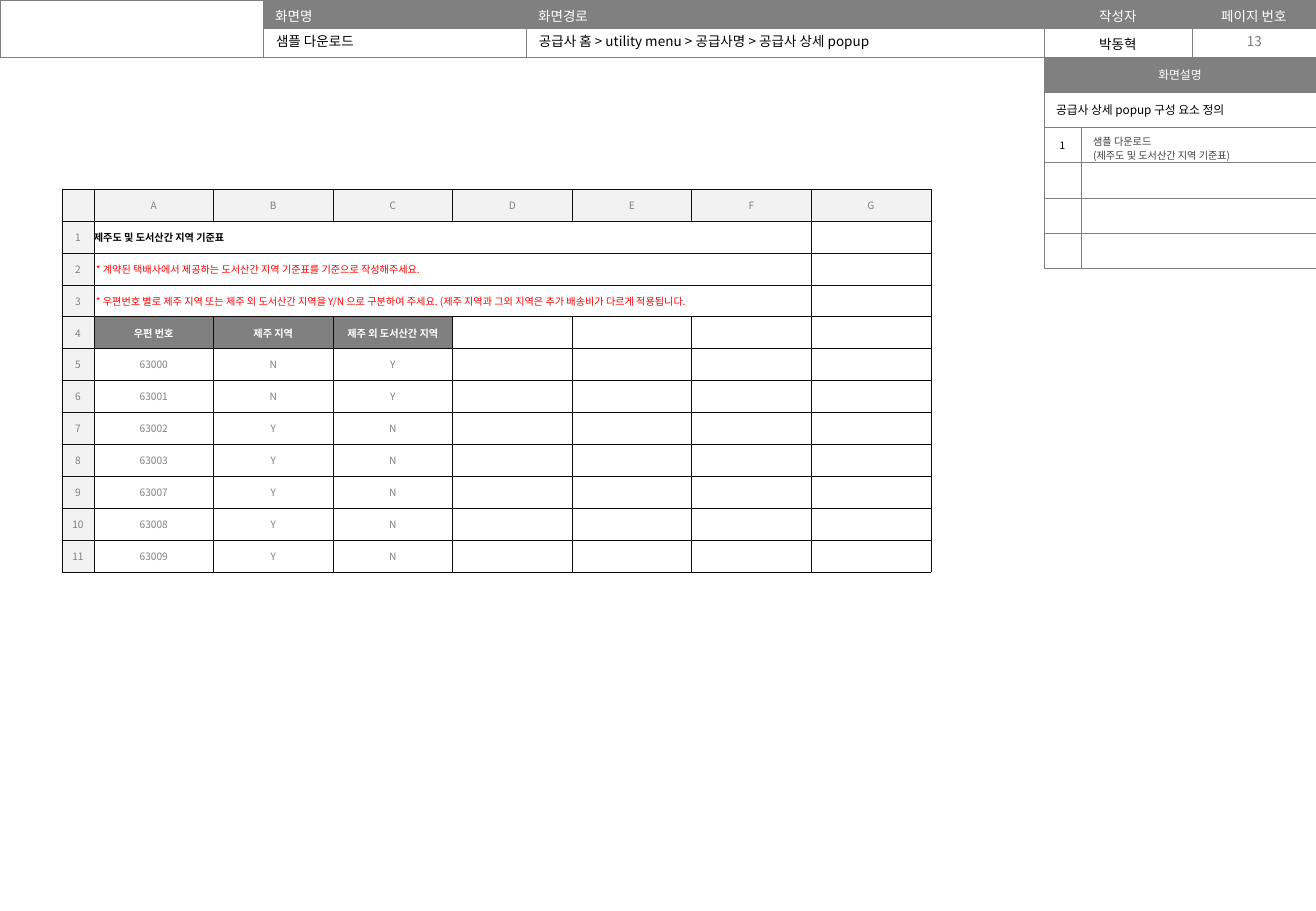
from lxml import etree
from pptx import Presentation
from pptx import util as u
from pptx.dml import color
from pptx.enum import text
from pptx.oxml import ns

FONT = "Noto Sans CJK KR"
BLACK = color.RGBColor(0x00, 0x00, 0x00)
WHITE = color.RGBColor(0xFF, 0xFF, 0xFF)
GRAY = color.RGBColor(0x80, 0x80, 0x80)
PALE = color.RGBColor(0xF2, 0xF2, 0xF2)
DARK = color.RGBColor(0x40, 0x40, 0x40)
INK = color.RGBColor(0x0D, 0x0D, 0x0D)
PAGE_GRAY = color.RGBColor(0x79, 0x79, 0x79)
RED = color.RGBColor(0xFF, 0x00, 0x00)
LEFT, CENTER = text.PP_ALIGN.LEFT, text.PP_ALIGN.CENTER
TOP, MIDDLE = text.MSO_ANCHOR.TOP, text.MSO_ANCHOR.MIDDLE

COLUMN_LETTERS = "ABCDEFG"
NOTICES = [
    ("제주도 및 도서산간 지역 기준표", BLACK, True, 0),
    ("* 계약된 택배사에서 제공하는 도서산간 지역 기준표를 기준으로 작성해주세요.", RED, False, 2),
    ("* 우편번호 별로 제주 지역 또는 제주 외 도서산간 지역을 Y/N 으로 구분하여 주세요. "
     "(제주 지역과 그외 지역은 추가 배송비가 다르게 적용됩니다.", RED, False, 2),
]
FIELDS = ["우편 번호", "제주 지역", "제주 외 도서산간 지역"]
POSTCODES = [
    ("63000", "N", "Y"),
    ("63001", "N", "Y"),
    ("63002", "Y", "N"),
    ("63003", "Y", "N"),
    ("63007", "Y", "N"),
    ("63008", "Y", "N"),
    ("63009", "Y", "N"),
]


def px(length):
    return u.Emu(round(length * u.Inches(1) / 121.5))


def write(frame, wording, size, ink, align=LEFT, bold=False):
    formats = {"name": FONT, "size": u.Pt(size), "bold": bold}
    for index, line in enumerate(wording.split("\n")):
        paragraph = frame.add_paragraph() if index else frame.paragraphs[0]
        paragraph.alignment = align
        if line:
            run = paragraph.add_run()
            run.text = line
            for key, value in formats.items():
                setattr(run.font, key, value)
            run.font.color.rgb = ink
            etree.SubElement(run.font._element, ns.qn("a:ea"), typeface=FONT)
        etree.SubElement(paragraph._p, ns.qn("a:endParaRPr"), sz=str(size * 100))


def fill_cell(cell, wording="", size=6, ink=GRAY, align=CENTER, bold=False,
              fill=WHITE, anchor=MIDDLE, **margins):
    cell.vertical_anchor = anchor
    for side, margin in margins.items():
        setattr(cell, "margin_" + side, px(margin))
    if fill is None:
        cell.fill.background()
    else:
        cell.fill.solid()
        cell.fill.fore_color.rgb = fill
    write(cell.text_frame, wording, size, ink, align, bold)


def add_ruled_table(slide, left, top, widths, heights, line):
    table = slide.shapes.add_table(
        len(heights), len(widths), px(left), px(top), px(sum(widths)), px(sum(heights))).table
    table.first_row = table.horz_banding = False
    for column, width in zip(table.columns, widths):
        column.width = px(width)
    for row, height in zip(table.rows, heights):
        row.height = px(height)
    for cell in table.iter_cells():
        properties = cell._tc.get_or_add_tcPr()
        for edge in ("lnL", "lnR", "lnT", "lnB"):
            border = etree.SubElement(properties, ns.qn("a:" + edge), w=str(u.Pt(0.25)))
            solid = etree.SubElement(border, ns.qn("a:solidFill"))
            etree.SubElement(solid, ns.qn("a:srgbClr"), val=str(line))
    return table


def place_label(label, box, wording, ink=BLACK, align=LEFT):
    for key, value in zip(("left", "top", "width", "height"), box):
        setattr(label, key, px(value))
    formats = {"word_wrap": True, "auto_size": text.MSO_AUTO_SIZE.NONE,
               "vertical_anchor": MIDDLE, "margin_top": 0, "margin_bottom": 0,
               "margin_left": px(12), "margin_right": px(12)}
    for key, value in formats.items():
        setattr(label.text_frame, key, value)
    write(label.text_frame, wording, 8, ink, align)


def add_header(slide, box):
    left, top, width, height = box
    widths = [263, 263, 518, 148]
    widths.append(width - sum(widths))
    title_row = height // 2
    value_row = height - title_row
    table = add_ruled_table(slide, left, top, widths, [title_row, value_row], GRAY)
    table.cell(0, 0).merge(table.cell(1, 0))
    captions = ["", "화면명", "화면경로", "작성자", "페이지 번호"]
    values = ["", "", "", "박동혁", ""]
    for column, (caption, value) in enumerate(zip(captions, values)):
        shared = {"size": 8, "align": CENTER if column > 2 else LEFT,
                  "anchor": TOP, "top": 6, "bottom": 2}
        fill_cell(table.cell(0, column), caption, ink=WHITE,
                  fill=GRAY if column else None, **shared)
        fill_cell(table.cell(1, column), value, ink=BLACK, fill=None, **shared)

    def value_box(column):
        return left + sum(widths[:column]) + 1, top + title_row - 1, widths[column] - 1, value_row

    place_label(slide.shapes.title, value_box(1), "샘플 다운로드")
    screen_path, page_number = (slide.shapes.add_textbox(0, 0, 0, 0) for _ in range(2))
    place_label(screen_path, value_box(2), "공급사 홈 > utility menu > 공급사명 > 공급사 상세 popup")
    place_label(page_number, value_box(4), "13", PAGE_GRAY, CENTER)


def add_description(slide, box):
    left, top, width, height = box
    number_width = 37
    table = add_ruled_table(slide, left, top, [number_width, width - number_width],
                            [height / 6] * 6, GRAY)
    for row in range(2):
        table.cell(row, 0).merge(table.cell(row, 1))
    fill_cell(table.cell(0, 0), "화면설명", 7, WHITE, fill=GRAY)
    fill_cell(table.cell(1, 0), "공급사 상세 popup 구성 요소 정의", 7, BLACK, LEFT)
    fill_cell(table.cell(2, 0), "1", ink=BLACK)
    fill_cell(table.cell(2, 1), "샘플 다운로드\n(제주도 및 도서산간 지역 기준표)", ink=DARK,
              align=LEFT, top=6, bottom=0)
    for row in range(3, 6):
        for column in range(2):
            fill_cell(table.cell(row, column))


def add_sample_sheet(slide, box):
    left, top, width, height = box
    index_width = 32
    letters = len(COLUMN_LETTERS)
    row_count = 1 + len(NOTICES) + 1 + len(POSTCODES)
    widths = [index_width] + [(width - index_width) / letters] * letters
    table = add_ruled_table(slide, left, top, widths, [height / row_count] * row_count, INK)
    flush = {"left": 0, "top": 0, "right": 0, "bottom": 0}
    for column, letter in enumerate(COLUMN_LETTERS, 1):
        fill_cell(table.cell(0, column), letter, fill=PALE, **flush)
    for row in range(row_count):
        fill_cell(table.cell(row, 0), str(row or ""), fill=PALE, **flush)
    for row, (notice, ink, bold, indent) in enumerate(NOTICES, 1):
        table.cell(row, 1).merge(table.cell(row, letters - 1))
        fill_cell(table.cell(row, 1), notice, ink=ink, align=LEFT, bold=bold,
                  **{**flush, "left": indent})
        fill_cell(table.cell(row, letters))
    first = len(NOTICES) + 1
    for row, record in enumerate([FIELDS, *POSTCODES], first):
        heading = {"ink": WHITE, "bold": True, "fill": GRAY} if row == first else {}
        for column, value in enumerate(record, 1):
            fill_cell(table.cell(row, column), value, **heading, **flush)
        for column in range(len(record) + 1, letters + 1):
            fill_cell(table.cell(row, column))


def main():
    deck = Presentation()
    deck.slide_width, deck.slide_height = px(1316), px(911)
    slide = deck.slides.add_slide(deck.slide_layouts[5])
    add_header(slide, (0, 0, 1316, 57))
    add_description(slide, (1044, 57, 272, 211))
    add_sample_sheet(slide, (62, 189, 869, 383))
    deck.save("out.pptx")


if __name__ == "__main__":
    main()
